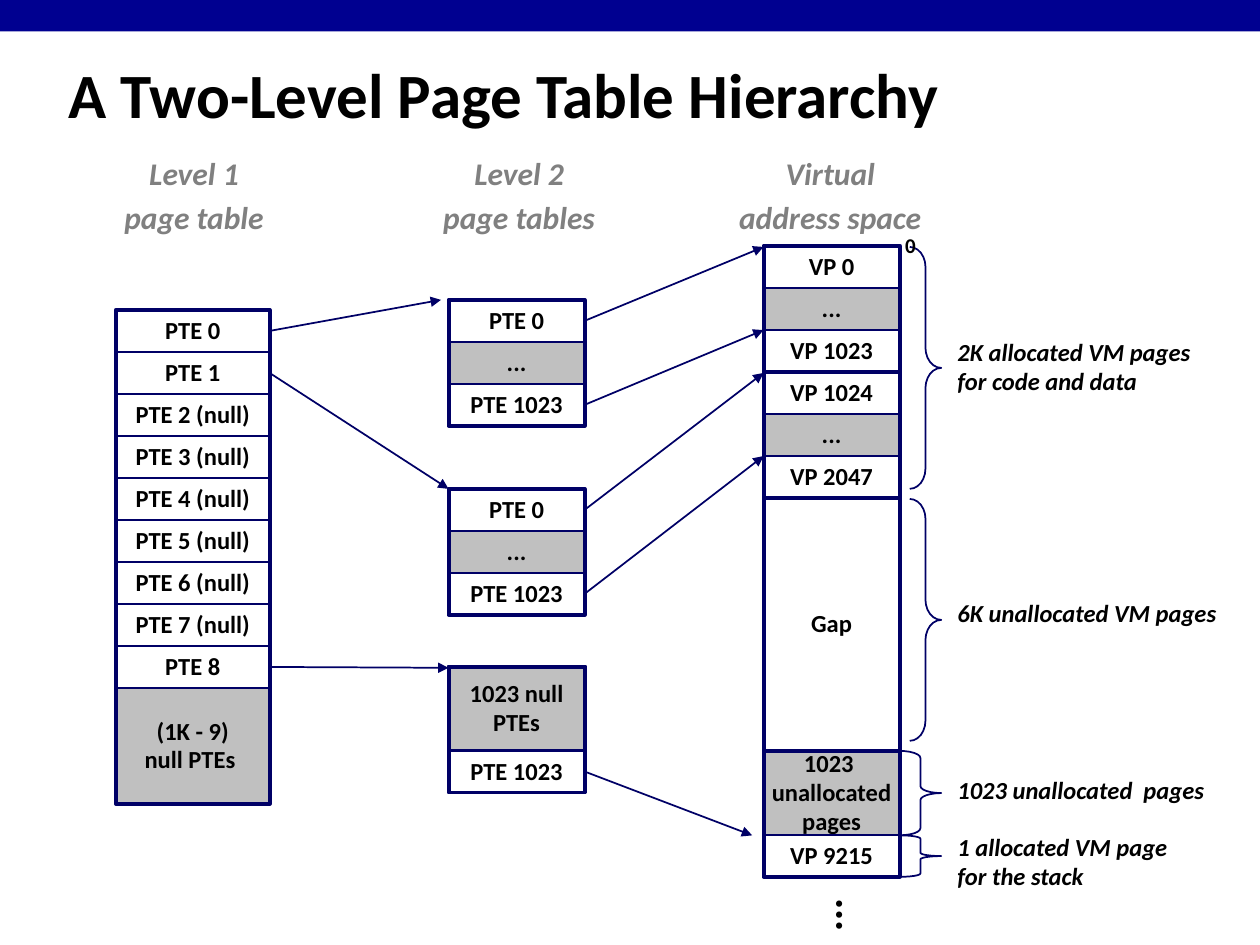
from dataclasses import dataclass

import pptx
import pptx.util
import pptx.dml.color
import pptx.enum.shapes
import pptx.enum.text
import pptx.oxml.ns
from lxml import etree

Inches = pptx.util.Inches
Pt = pptx.util.Pt
KIND = pptx.enum.shapes.MSO_SHAPE
ALIGN = pptx.enum.text.PP_ALIGN
ANCHOR = pptx.enum.text.MSO_ANCHOR
FIT = pptx.enum.text.MSO_AUTO_SIZE
qn = pptx.oxml.ns.qn

HUES = {"bar": "000090", "line": "000066", "null": "C0C0C0",
        "head": "808080", "text": "000000"}
FONT = "Calibri"
ROW = 1 / 3
THIN, THICK = 1, 2.25


@dataclass
class Cell:
    text: str
    high: float = ROW
    gray: bool = False
    line: float = THIN


@dataclass
class Stack:
    left: float
    top: float
    wide: float
    cells: list[Cell]
    groups: list[tuple[int, int]]  # first cell and end of each thick frame


@dataclass
class Label:
    text: str
    box: tuple[float, float, float, float]
    size: float = 14
    hue: str = "text"
    slant: bool = True
    align: ALIGN = ALIGN.LEFT
    anchor: ANCHOR = ANCHOR.MIDDLE
    space: float = 0.98
    before: float = 0


@dataclass
class Brace:
    box: tuple[float, float, float, float]
    bend: float


def color(name: str) -> pptx.dml.color.RGBColor:
    return pptx.dml.color.RGBColor.from_string(HUES[name])


def style(frame, size, hue="text", slant=False, align=ALIGN.CENTER,
          space=0.98, before=0) -> None:
    for para in frame.paragraphs:
        para.alignment = align
        para.line_spacing = space
        para.space_before = Pt(before)
        for run in para.runs:
            font = run.font
            font.name, font.size = FONT, Pt(size)
            font.bold, font.italic = True, slant
            font.color.rgb = color(hue)


def draw_shape(slide, kind, box, fill=None, line=None):
    shape = slide.shapes.add_shape(kind, *map(Inches, box))
    shape.shadow.inherit = False
    if fill:
        shape.fill.solid()
        shape.fill.fore_color.rgb = color(fill)
    else:
        shape.fill.background()
    if line:
        shape.line.color.rgb = color("line")
        shape.line.width = Pt(line)
    else:
        shape.line.fill.background()
    return shape


def draw_stack(slide, stack: Stack) -> list:
    tops, shapes = [stack.top], []
    for cell in stack.cells:
        box = (stack.left, tops[-1], stack.wide, cell.high)
        shape = draw_shape(slide, KIND.RECTANGLE, box,
                           "null" if cell.gray else None, cell.line)
        frame = shape.text_frame
        frame.text = cell.text
        frame.word_wrap = False
        frame.vertical_anchor = ANCHOR.MIDDLE
        style(frame, 14)
        shapes.append(shape)
        tops.append(tops[-1] + cell.high)
    for first, end in stack.groups:
        box = (stack.left, tops[first], stack.wide, tops[end] - tops[first])
        draw_shape(slide, KIND.RECTANGLE, box, line=THICK)
    return shapes


def draw_label(slide, label: Label):
    box = slide.shapes.add_textbox(*map(Inches, label.box))
    frame = box.text_frame
    frame.text = label.text
    frame.word_wrap = False
    frame.auto_size = FIT.SHAPE_TO_FIT_TEXT
    frame.vertical_anchor = label.anchor
    style(frame, label.size, label.hue, label.slant, label.align,
          label.space, label.before)
    return box


def draw_brace(slide, brace: Brace) -> None:
    shape = draw_shape(slide, KIND.RIGHT_BRACE, brace.box, line=THIN)
    shape.adjustments[0] = brace.bend


def draw_arrow(slide, cell, x: float, y: float) -> None:
    link = slide.shapes.add_connector(
        pptx.enum.shapes.MSO_CONNECTOR.STRAIGHT, 0, 0, Inches(x), Inches(y))
    link.begin_connect(cell, 3)
    link.line.color.rgb = color("line")
    link.line.width = Pt(THIN)
    etree.SubElement(link.line._get_or_add_ln(), qn("a:tailEnd"), type="triangle")
    etree.SubElement(link._element.spPr, qn("a:effectLst"))


def table(top: float) -> Stack:
    cells = [Cell("PTE 0"), Cell("...", gray=True), Cell("PTE 1023")]
    return Stack(3.56, top, 1.08, cells, [(0, 3)])


def main() -> None:
    deck = pptx.Presentation()
    deck.slide_width, deck.slide_height = Inches(10), Inches(7.5)
    slide = deck.slides.add_slide(deck.slide_layouts[5])

    # Top bar and title
    draw_shape(slide, KIND.RECTANGLE, (0, 0, 10, 0.25), "bar")
    title = slide.shapes.title
    title.left, title.top = Inches(0.44), Inches(0.31)
    title.width, title.height = Inches(9.06), Inches(0.86)
    frame = title.text_frame
    frame.text = "A Two-Level Page Table Hierarchy"
    frame.auto_size = FIT.NONE
    frame.vertical_anchor = ANCHOR.MIDDLE
    style(frame, 36, align=ALIGN.LEFT, space=1.0)

    # Column heads
    for text, left, wide in (("Level 1\npage table", 0.88, 1.32),
                             ("Level 2\npage tables", 3.41, 1.42),
                             ("Virtual\naddress space", 5.76, 1.66)):
        draw_label(slide, Label(text, (left, 1.21, wide, 0.72), 18, "head",
                                align=ALIGN.CENTER, anchor=ANCHOR.TOP,
                                space=0.88, before=6))

    # Page tables and address space
    names = [f"PTE {n}" + (" (null)" if 2 <= n <= 7 else "") for n in range(9)]
    root = draw_stack(slide, Stack(
        0.92, 2.46, 1.22,
        [Cell(name) for name in names] + [Cell("(1K - 9)\nnull PTEs ", 0.92, True)],
        [(0, 10)]))
    code = draw_stack(slide, table(2.38))
    data = draw_stack(slide, table(3.88))
    last = draw_stack(slide, Stack(
        3.56, 5.29, 1.08,
        [Cell("1023 null\nPTEs", 2 * ROW, True, THICK), Cell("PTE 1023")],
        [(0, 2)]))
    draw_stack(slide, Stack(
        6.06, 1.95, 1.08,
        [Cell("VP 0"), Cell("...", gray=True), Cell("VP 1023"),
         Cell("VP 1024"), Cell("...", gray=True), Cell("VP 2047"),
         Cell("Gap", 2.01, line=THICK),
         Cell("1023 \nunallocated\npages", 2 * ROW, True), Cell("VP 9215")],
        [(0, 3), (3, 6), (7, 9)]))

    # Arrows from entries to what they point at
    for cell, x, y in ((root[0], 3.5, 2.38), (root[1], 3.56, 3.88),
                       (root[8], 3.56, 5.3), (code[0], 6.06, 1.96),
                       (code[2], 6.06, 2.62), (data[0], 6.06, 2.96),
                       (data[2], 6.06, 3.62), (last[1], 5.97, 6.63)):
        draw_arrow(slide, cell, x, y)

    # Braces and notes at the right
    for brace in (Brace((7.22, 1.96, 0.25, 1.92), 0.64),
                  Brace((7.22, 3.96, 0.25, 1.92), 0.64),
                  Brace((7.14, 5.96, 0.33, 0.67), 0.17),
                  Brace((7.14, 6.63, 0.33, 0.33), 0.08)):
        draw_brace(slide, brace)
    for label in (
            Label("2K allocated VM pages\nfor code and data", (7.5, 2.63, 2.06, 0.57)),
            Label("6K unallocated VM pages", (7.5, 4.71, 2.27, 0.33)),
            Label("1023 unallocated  pages", (7.5, 6.11, 2.17, 0.33)),
            Label("1 allocated VM page\nfor the stack", (7.5, 6.56, 1.88, 0.57)),
            Label("0", (7.08, 1.8, 0.29, 0.3), 12, slant=False, align=ALIGN.CENTER)):
        draw_label(slide, label)

    # Upright dots below the address space
    dots = draw_label(slide, Label("...", (6.41, 7.03, 0.56, 0.37), 24, slant=False,
                                   align=None, anchor=ANCHOR.TOP,
                                   space=0.88, before=9))
    dots.text_frame._txBody.bodyPr.set("vert", "eaVert")
    dots.text_frame.paragraphs[0]._p.get_or_add_pPr().set("rtl", "1")

    deck.save("out.pptx")


if __name__ == "__main__":
    main()
